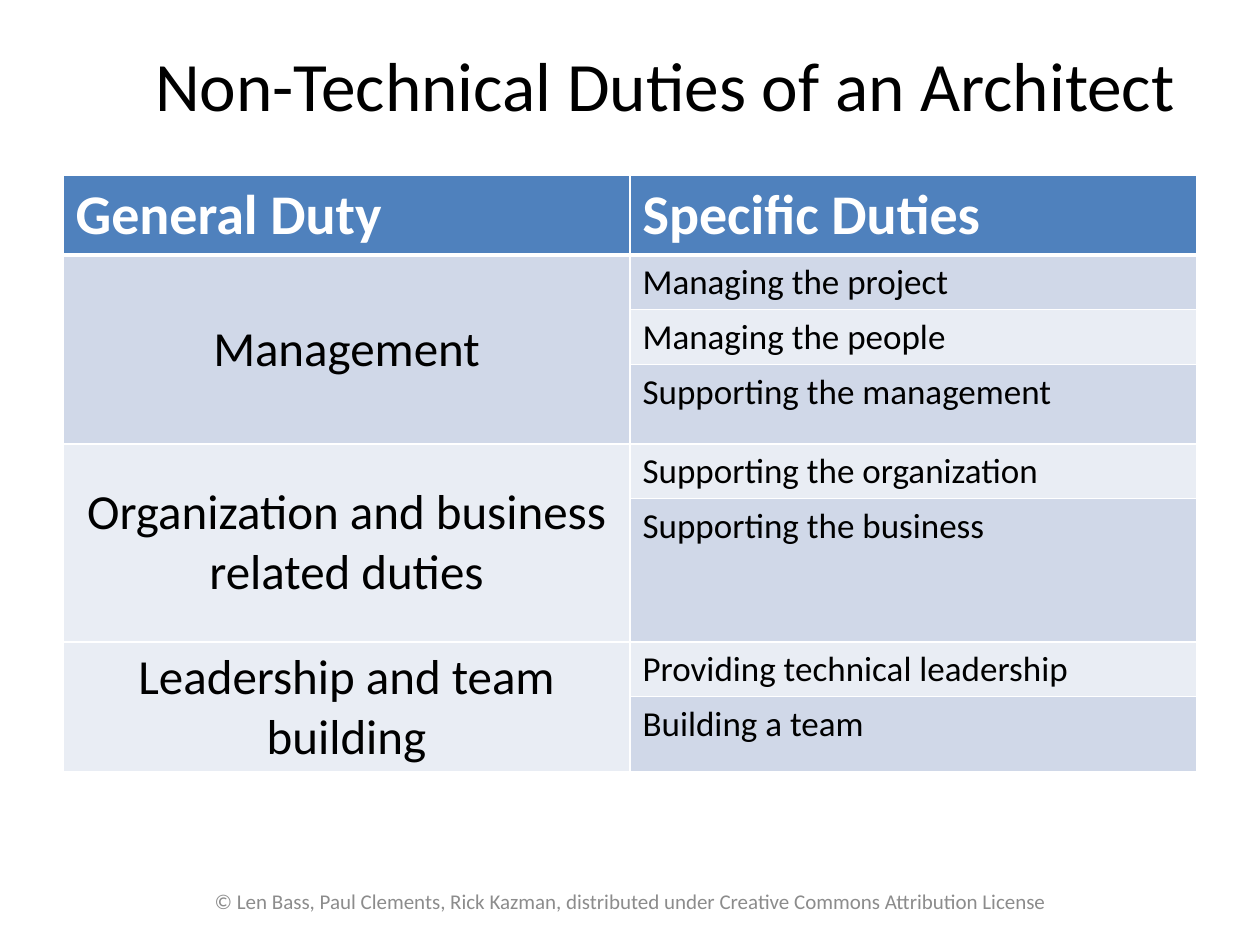
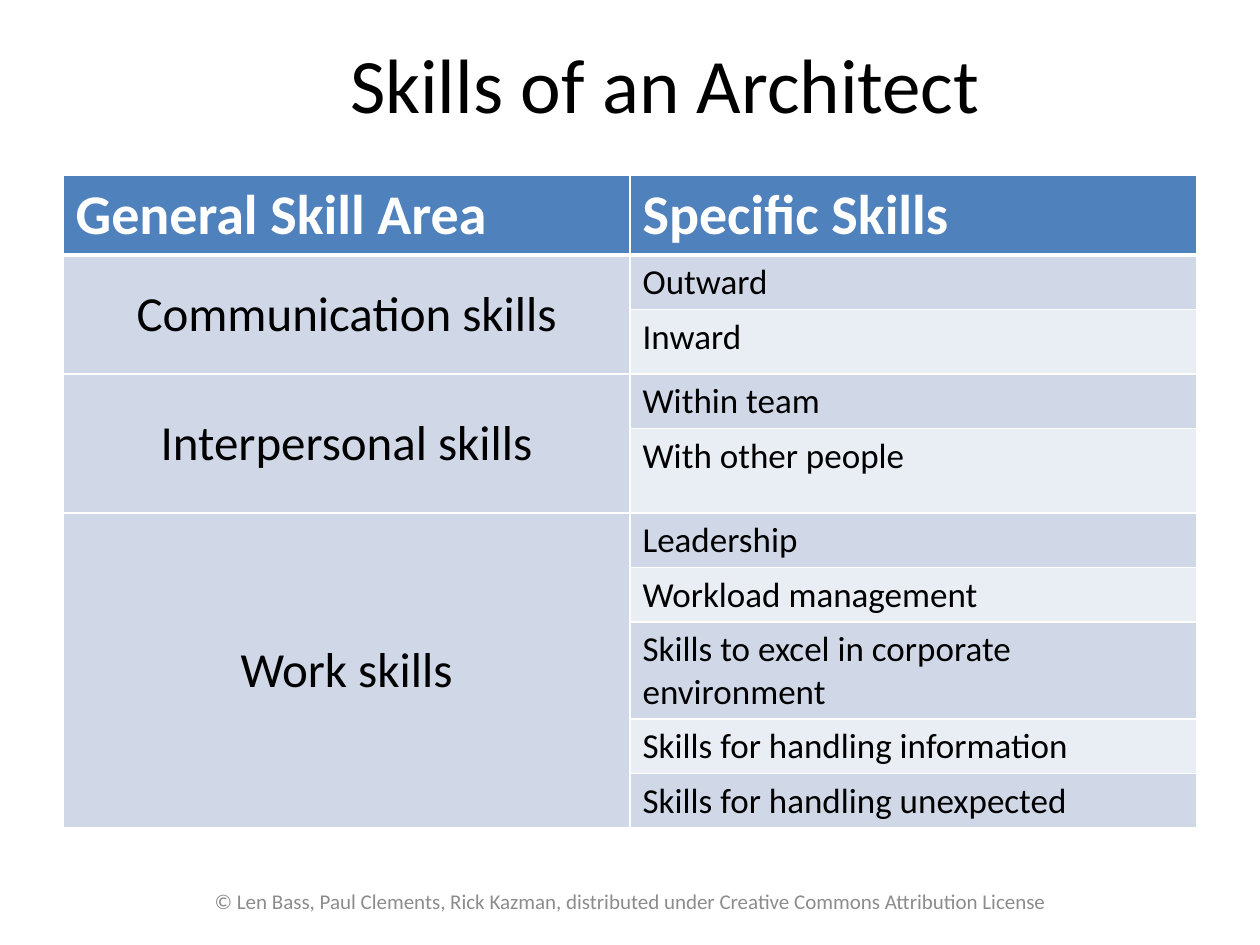
"""Build two slides on the duties and the skills of an architect."""
from dataclasses import dataclass

from lxml.etree import SubElement
from pptx import Presentation
from pptx.dml.color import RGBColor
from pptx.enum.text import MSO_ANCHOR as Anchor, PP_ALIGN as Align
from pptx.oxml.ns import qn
from pptx.util import Pt

FONT = "Calibri"
COLORS = {
    "text": "000000",
    "header": "4F81BD",
    "band_dark": "D0D8E8",
    "band_light": "E9EDF4",
    "white": "FFFFFF",
    "footer": "8C8C8C",
}
FOOTER = ("© Len Bass, Paul Clements, Rick Kazman, "
          "distributed under Creative Commons Attribution License")
ROW_HEIGHT = 29.2
COLUMN_WIDTH = 324
THIN, THICK = 1, 3


@dataclass(frozen=True)
class Box:
    """Place of an element in points."""
    left: float
    top: float
    width: float
    height: float


@dataclass(frozen=True)
class Specific:
    """One entry of the right column and its least row height."""
    label: str
    height: float = ROW_HEIGHT


@dataclass(frozen=True)
class Group:
    """A general area with its specific entries."""
    label: str
    entries: tuple[Specific, ...]


@dataclass(frozen=True)
class Page:
    """Content of one slide."""
    title: str
    title_size: float
    headings: tuple[str, str]
    groups: tuple[Group, ...]
    table_height: float


TITLE_BOX = Box(76.3, 21.6, 607.7, 61.2)
FOOTER_BOX = Box(110.9, 500.4, 499, 28.8)
TABLE_LEFT, TABLE_TOP = 36, 100.1

PAGES = (
    Page("Non-Technical Duties of an Architect", 39.6,
         ("General Duty", "Specific Duties"),
         (Group("Management",
                (Specific("Managing the project"),
                 Specific("Managing the people"),
                 Specific("Supporting the management", 45.4))),
          Group("Organization and business related duties",
                (Specific("Supporting the organization"),
                 Specific("Supporting the business", 82))),
          Group("Leadership and team building",
                (Specific("Providing technical leadership"),
                 Specific("Building a team")))),
         340.6),
    Page("Skills of an Architect", 44,
         ("General Skill Area", "Specific Skills"),
         (Group("Communication skills",
                (Specific("Outward"), Specific("Inward", 36.7))),
          Group("Interpersonal skills",
                (Specific("Within team"),
                 Specific("With other people", 48.2))),
          Group("Work skills",
                (Specific("Leadership"),
                 Specific("Workload management"),
                 Specific("Skills to excel in corporate environment"),
                 Specific("Skills for handling information"),
                 Specific("Skills for handling unexpected")))),
         373),
)


def rgb(color: str) -> RGBColor:
    """Look up a named colour."""
    return RGBColor.from_string(COLORS[color])


def write(frame, text: str, *, size: float, color: str = "text",
          bold: bool = False, align=Align.LEFT, spacing: float = 1.0) -> None:
    """Put one formatted paragraph into a text frame."""
    frame.word_wrap = True
    paragraph = frame.paragraphs[0]
    paragraph.alignment = align
    paragraph.line_spacing = spacing
    run = paragraph.add_run()
    run.text = text
    run.font.name = FONT
    run.font.size = Pt(size)
    run.font.bold = bold
    run.font.color.rgb = rgb(color)


def add_text(slide, box: Box, text: str, **text_format) -> None:
    """Add a vertically centred text box."""
    frame = slide.shapes.add_textbox(
        Pt(box.left), Pt(box.top), Pt(box.width), Pt(box.height)).text_frame
    frame.vertical_anchor = Anchor.MIDDLE
    write(frame, text, **text_format)


def style_cell(cell, fill: str, top: float = THIN, bottom: float = THIN) -> None:
    """Give a cell white borders and a solid fill."""
    properties = cell._tc.get_or_add_tcPr()
    for side, width in (("L", THIN), ("R", THIN), ("T", top), ("B", bottom)):
        line = SubElement(properties, qn(f"a:ln{side}"), w=str(Pt(width)))
        solid = SubElement(line, qn("a:solidFill"))
        SubElement(solid, qn("a:srgbClr"), val=COLORS["white"])
    cell.fill.solid()
    cell.fill.fore_color.rgb = rgb(fill)


def add_overview(slide, page: Page) -> None:
    """Add the table of general areas and specific entries."""
    row_count = 1 + sum(len(group.entries) for group in page.groups)
    graphic = slide.shapes.add_table(
        row_count, 2, Pt(TABLE_LEFT), Pt(TABLE_TOP),
        Pt(2 * COLUMN_WIDTH), Pt(page.table_height))
    table = graphic.table
    table.horz_banding = False
    table.rows[0].height = Pt(ROW_HEIGHT)
    for column, heading in enumerate(page.headings):
        table.columns[column].width = Pt(COLUMN_WIDTH)
        cell = table.cell(0, column)
        write(cell.text_frame, heading, size=32, color="white", bold=True)
        style_cell(cell, "header", bottom=THICK)

    row = 1
    for group in page.groups:
        general = table.cell(row, 0)
        general.merge(table.cell(row + len(group.entries) - 1, 0))
        general.vertical_anchor = Anchor.MIDDLE
        write(general.text_frame, group.label, size=28, align=Align.CENTER)
        for position, entry in enumerate(group.entries):
            band = "band_dark" if row % 2 else "band_light"
            top = THICK if row == 1 else THIN
            if position == 0:
                style_cell(general, band, top=top)
            specific = table.cell(row, 1)
            write(specific.text_frame, entry.label, size=20)
            style_cell(specific, band, top=top)
            table.rows[row].height = Pt(entry.height)
            row += 1
    graphic.height = Pt(page.table_height)


def add_page(deck, page: Page) -> None:
    """Add one slide with its title, footer and table."""
    slide = deck.slides.add_slide(deck.slide_layouts[6])
    slide.background.fill.solid()
    slide.background.fill.fore_color.rgb = rgb("white")
    add_text(slide, TITLE_BOX, page.title, size=page.title_size,
             align=Align.CENTER, spacing=0.8)
    add_text(slide, FOOTER_BOX, FOOTER, size=12, color="footer",
             align=Align.CENTER)
    add_overview(slide, page)


def main() -> None:
    """Build and save the deck."""
    deck = Presentation()
    deck.slide_width, deck.slide_height = Pt(720), Pt(540)
    for page in PAGES:
        add_page(deck, page)
    deck.save("out.pptx")


main()
